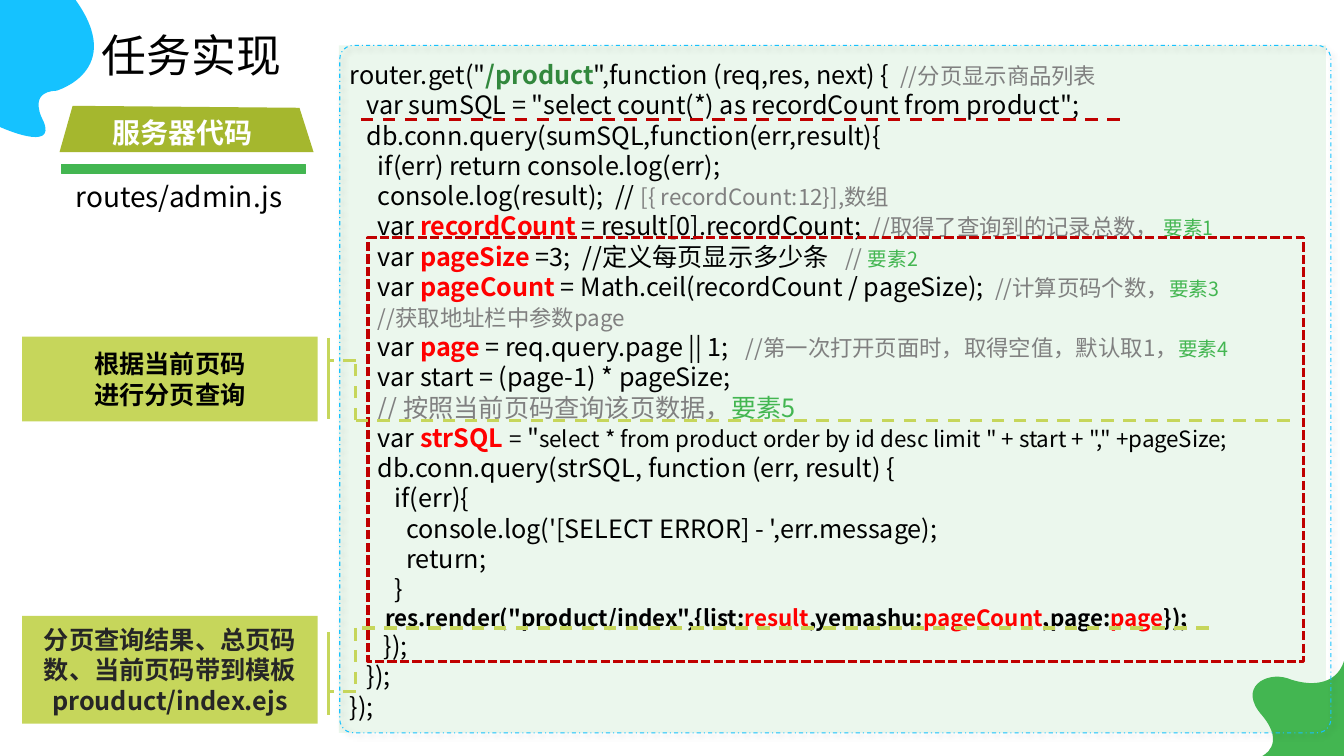
from dataclasses import dataclass

from lxml import etree
from pptx import Presentation
from pptx.dml.color import RGBColor
from pptx.enum.dml import MSO_LINE
from pptx.enum.shapes import MSO_CONNECTOR, MSO_SHAPE
from pptx.enum.text import MSO_ANCHOR, PP_ALIGN
from pptx.oxml.ns import qn
from pptx.util import Inches, Pt

RECT, ROUND = MSO_SHAPE.RECTANGLE, MSO_SHAPE.ROUNDED_RECTANGLE
LEFT, CENTER = PP_ALIGN.LEFT, PP_ALIGN.CENTER
TOP, MIDDLE = MSO_ANCHOR.TOP, MSO_ANCHOR.MIDDLE
DASH, DOTS, DASHDOT = MSO_LINE.DASH, MSO_LINE.SQUARE_DOT, MSO_LINE.DASH_DOT
STRAIGHT = MSO_CONNECTOR.STRAIGHT
FONT = "Noto Sans CJK SC"
COLORS = {
    "black": "000000", "dark": "262626", "white": "FFFFFF", "gray": "808080",
    "red": "FF0000", "path": "32883D", "green": "43B651", "blue": "15C2FF",
    "lime": "C6D65B", "olive": "A5B72E", "frame": "C00000",
}

Point = tuple[float, float]


@dataclass
class Style:
    size: float
    color: str = "black"
    bold: bool = False


@dataclass
class Note:
    top: float
    height: float
    color: str
    lines: list[str]
    route: list[Point]
    bar: Point


STYLES = {
    "code": Style(18), "small": Style(16), "path": Style(18, "path", True),
    "name": Style(18, "red", True), "note": Style(16, "gray"),
    "big": Style(18, "gray"), "key": Style(14, "green"),
    "bigkey": Style(18, "green"), "bold": Style(16, "black", True),
    "value": Style(16, "red", True), "title": Style(32), "file": Style(20),
    "label": Style(20, "white", True),
}

Row = list[tuple[str, str]]
CODE: list[Row] = [
    [("router.get(\"", "code"), ("/product", "path"),
     ("\",function (req,res, next) { ", "code"), (" //分页显示商品列表", "note")],
    [("   var sumSQL = \"select count(*) as recordCount from product\";", "code")],
    [("   db.conn.query(sumSQL,function(err,result){", "code")],
    [("     if(err) return console.log(err);", "code")],
    [("     console.log(result);  // ", "code"), ("[{ recordCount:12}],数组", "note")],
    [("     var ", "code"), ("recordCount", "name"),
     (" = result[0].recordCount;  ", "code"),
     ("//取得了查询到的记录总数， ", "note"), ("要素1", "key")],
    [("     var", "code"), (" pageSize ", "name"),
     ("=3;  //定义每页显示多少条  ", "code"), (" // ", "note"), ("要素2", "key")],
    [("     var ", "code"), ("pageCount ", "name"),
     ("= Math.ceil(recordCount / pageSize);  ", "code"),
     ("//计算页码个数，", "note"), ("要素3", "key")],
    [("     ", "code"), ("//获取地址栏中参数page", "note")],
    [("     var ", "code"), ("page ", "name"), ("= req.query.page || 1;   ", "code"),
     ("//第一次打开页面时，取得空值，默认取1，", "note"), ("要素4", "key")],
    [("     var start = (page-1) * pageSize;", "code")],
    [("     ", "code"), ("// 按照当前页码查询该页数据，", "big"), ("要素5", "bigkey")],
    [("     var ", "code"), ("strSQL ", "name"), ("=", "small"), (" \"", "code"),
     ("select * from product order by id desc limit \" + start + \",\" +pageSize;",
      "small")],
    [("     db.conn.query(strSQL, function (err, result) {", "code")],
    [("        if(err){", "code")],
    [("          console.log('[SELECT ERROR] - ',err.message);", "code")],
    [("          return;", "code")],
    [("        }", "code")],
    [("       res.render(\"product/index\",{list:", "bold"), ("result", "value"),
     (",yemashu:", "bold"), ("pageCount", "value"), (",page:", "bold"),
     ("page", "value"), ("});", "bold")],
    [("      });", "code")],
    [("   });", "code")],
    [("});", "code")],
]

NOTES = [
    Note(6.11, 1.07, "dark",
         ["分页查询结果、总页码数、当前页码带到模板", "prouduct/index.ejs"],
         [(11.99, 6.23), (3.53, 6.23), (3.53, 6.86), (3.26, 6.86)], (6.27, 7.09)),
    Note(3.34, 0.84, "black", ["根据当前页码", "进行分页查询"],
         [(12.79, 4.17), (3.53, 4.17), (3.53, 3.58), (3.26, 3.58)], (3.35, 4.16)),
]

SKY = [(0, 1.26), (0, 1.26), (0.57, 1.52), (0.43, 1.2),
       (0.43, 1.2), (0.26, 0.91), (0.56, 0.9),
       (0.56, 0.9), (1.25, 0.7), (0.75, 0), (0, 0), (0, 0), (0, 0)]
LEAF = [(12.52, 7.5), (12.52, 7.5), (12.76, 7.39), (12.52, 7.1),
        (12.27, 6.82), (12.56, 6.66), (12.77, 6.73),
        (12.98, 6.81), (13.25, 6.81), (13.33, 6.56),
        (13.33, 7.5), (13.33, 7.5), (13.33, 7.5)]
TAB = [(0.72, 1.05), (2.97, 1.07), (3.11, 1.51), (0.59, 1.51)]


def tint(name: str) -> RGBColor:
    return RGBColor.from_string(COLORS[name])


def write(shape, rows: list[list[tuple[str, Style]]], align=LEFT, anchor=TOP,
          wrap: bool = True) -> None:
    frame = shape.text_frame
    frame.word_wrap, frame.vertical_anchor = wrap, anchor
    for num, row in enumerate(rows):
        para = frame.add_paragraph() if num else frame.paragraphs[0]
        para.alignment = align
        if len(rows) > 1:
            para.line_spacing = Pt(1.2 * max(style.size for _, style in row))
        for text, style in row:
            run = para.add_run()
            run.text = text
            font = run.font
            font.name, font.size, font.bold = FONT, Pt(style.size), style.bold
            font.color.rgb = tint(style.color)
            etree.SubElement(font._element, qn("a:ea"), typeface=FONT)


def paint(shape, fill: str | None, line: str | None = None,
          width: float = 1, dash=None) -> None:
    shape.shadow.inherit = False
    if fill:
        shape.fill.solid()
        shape.fill.fore_color.rgb = tint(fill)
    else:
        shape.fill.background()
    if line:
        shape.line.color.rgb = tint(line)
        shape.line.width = Pt(width)
        shape.line.dash_style = dash
    else:
        shape.line.fill.background()


def add_box(shapes, kind, x: float, y: float, wide: float, high: float):
    return shapes.add_shape(kind, Inches(x), Inches(y), Inches(wide), Inches(high))


def add_text(shapes, x: float, y: float, wide: float, high: float):
    return shapes.add_textbox(Inches(x), Inches(y), Inches(wide), Inches(high))


def add_line(shapes, start: Point, end: Point, color: str, dash=None) -> None:
    line = shapes.add_connector(STRAIGHT, *map(Inches, start + end))
    line.line.color.rgb = tint(color)
    line.line.width = Pt(2.25)
    line.line.dash_style = dash
    etree.SubElement(line._element.spPr, qn("a:effectLst"))


def add_form(shapes, points: list[Point], color: str, curved: bool = False) -> None:
    """Draw an outline; if curved, each three points are two handles and an end."""
    spots = [(Inches(x), Inches(y)) for x, y in points]
    form = shapes.build_freeform(*spots[0])
    form.add_line_segments(spots[1:], close=True)
    shape = form.convert_to_shape()
    paint(shape, color)
    if curved:
        steps = list(shape._element.iter(qn("a:lnTo")))
        for first in range(0, len(steps), 3):
            trio = steps[first:first + 3]
            curve = etree.Element(qn("a:cubicBezTo"))
            trio[0].addprevious(curve)
            for step in trio:
                curve.append(step[0])
                step.getparent().remove(step)


def add_panel(shapes) -> None:
    back = add_box(shapes, RECT, 3.36, 0.45, 9.79, 6.82)
    paint(back, "green")
    shade = back._element.spPr.find(".//" + qn("a:srgbClr"))
    etree.SubElement(shade, qn("a:alpha"), val="10000")
    edge = add_box(shapes, ROUND, 3.37, 0.45, 9.83, 6.82)
    edge.adjustments[0] = 0.02
    paint(edge, None, "blue", 0.75, DASHDOT)
    glow = etree.SubElement(edge._element.spPr.find(qn("a:effectLst")),
                            qn("a:outerShdw"), blurRad=str(Pt(4)),
                            dist=str(Pt(3)), dir="2700000")
    dark = etree.SubElement(glow, qn("a:srgbClr"), val=COLORS["black"])
    etree.SubElement(dark, qn("a:alpha"), val="40000")


def add_note(shapes, note: Note) -> None:
    box = add_box(shapes, RECT, 0.22, note.top, 2.93, note.height)
    paint(box, "lime")
    style = Style(18, note.color, True)
    write(box, [[(text, style)] for text in note.lines], CENTER, MIDDLE)
    for start, end in zip(note.route, note.route[1:]):
        add_line(shapes, start, end, "lime", DASH)
    add_line(shapes, (3.26, note.bar[0]), (3.26, note.bar[1]), "lime")


def main() -> None:
    deck = Presentation()
    deck.slide_width, deck.slide_height = Inches(13.33), Inches(7.5)
    shapes = deck.slides.add_slide(deck.slide_layouts[5]).shapes

    title = shapes.title
    title.left, title.top = Inches(0.91), Inches(0.22)
    title.width, title.height = Inches(2.1), Inches(0.64)
    write(title, [[("任务实现", STYLES["title"])]], anchor=MIDDLE, wrap=False)

    add_form(shapes, SKY, "blue", True)
    add_form(shapes, LEAF, "green", True)
    add_panel(shapes)
    rows = [[(text, STYLES[key]) for text, key in row] for row in CODE]
    write(add_text(shapes, 3.37, 0.54, 9.82, 6.43), rows)
    paint(add_box(shapes, RECT, 3.65, 2.36, 9.28, 4.2), None, "frame", 2.25, DOTS)

    write(add_text(shapes, 0.65, 1.73, 2.29, 0.44),
          [[("routes/admin.js", STYLES["file"])]])
    paint(add_box(shapes, RECT, 0.61, 1.63, 2.42, 0.09), "green", "green")
    add_form(shapes, TAB, "olive")
    write(add_text(shapes, 1.02, 1.1, 1.59, 0.44),
          [[("服务器代码", STYLES["label"])]], wrap=False)

    for note in NOTES:
        add_note(shapes, note)
    add_line(shapes, (3.58, 1.19), (11.16, 1.19), "frame", DASH)
    deck.save("out.pptx")


if __name__ == "__main__":
    main()
